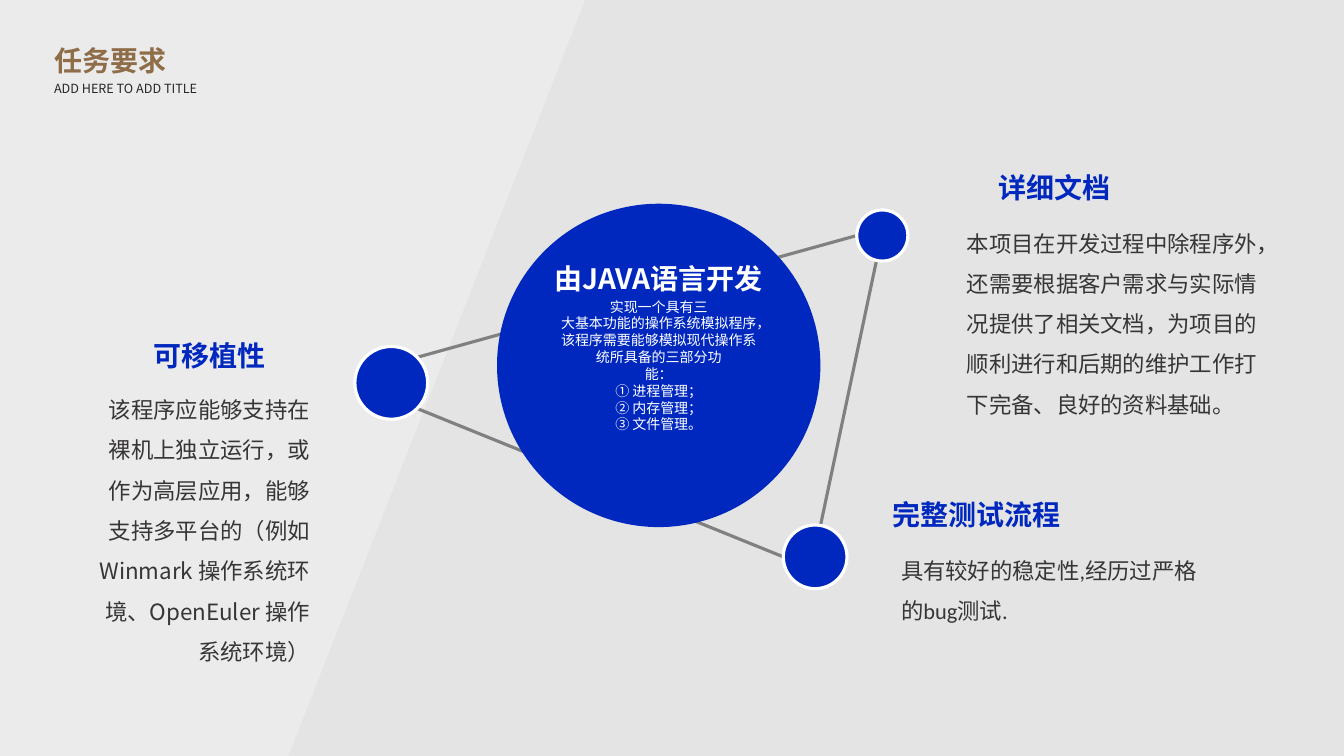
from collections import namedtuple
from dataclasses import dataclass

from lxml.etree import SubElement
from pptx import Presentation
from pptx.dml.color import RGBColor
from pptx.enum.shapes import MSO_CONNECTOR, MSO_SHAPE
from pptx.enum.text import MSO_ANCHOR, MSO_AUTO_SIZE, PP_ALIGN
from pptx.oxml.ns import qn
from pptx.util import Pt

Box = namedtuple("Box", "left top width height")


@dataclass(frozen=True)
class Theme:
    background: str = "E4E4E4"
    panel: str = "F1F1F1"
    panel_alpha: str = "54000"
    blue: str = "0028BE"
    white: str = "FFFFFF"
    link: str = "808080"
    brown: str = "8E6D48"
    body: str = "373535"
    caption: str = "262626"
    font: str = "Noto Sans CJK SC"
    latin_font: str = "Calibri"
    heading_size: int = 20
    body_size: int = 16
    core_size: int = 10
    caption_size: int = 9
    line_width: float = 2.25


THEME = Theme()


def rgb(color):
    return RGBColor.from_string(color)


def in_points(*lengths):
    return [Pt(length) for length in lengths]


def write(frame, lines, size, color, font=THEME.font, bold=False, align=PP_ALIGN.LEFT, spacing=None):
    frame.word_wrap = True
    frame.text = "\n".join(lines)
    for paragraph in frame.paragraphs:
        paragraph.alignment = align
        if spacing:
            paragraph.line_spacing = spacing
        for run in paragraph.runs:
            run.font.size = Pt(size)
            run.font.bold = bold
            run.font.name = font
            run.font.color.rgb = rgb(color)
            SubElement(run.font._element, qn("a:ea")).set("typeface", THEME.font)


def add_label(slide, box, lines, size, color, **style):
    frame = slide.shapes.add_textbox(*in_points(*box)).text_frame
    write(frame, lines, size, color, **style)
    frame.auto_size = MSO_AUTO_SIZE.SHAPE_TO_FIT_TEXT


def add_backdrop(slide, box):
    slide.background.fill.solid()
    slide.background.fill.fore_color.rgb = rgb(THEME.background)
    right, bottom = box.left + box.width, box.top + box.height
    outline = slide.shapes.build_freeform(*in_points(box.left, box.top))
    corners = [(right, box.top), (right - 212, bottom), (box.left, bottom)]
    outline.add_line_segments([in_points(*corner) for corner in corners], close=True)
    panel = outline.convert_to_shape()
    panel.shadow.inherit = False
    panel.line.fill.background()
    panel.fill.solid()
    panel.fill.fore_color.rgb = rgb(THEME.panel)
    tint = panel.fill._xPr.find(qn("a:solidFill"))[0]
    SubElement(tint, qn("a:alpha")).set("val", THEME.panel_alpha)


def add_link(slide, start, end):
    link = slide.shapes.add_connector(MSO_CONNECTOR.STRAIGHT, *in_points(*start, *end))
    link.line.color.rgb = rgb(THEME.link)
    link.line.width = Pt(THEME.line_width)
    SubElement(link._element.spPr, qn("a:effectLst"))


def add_disc(slide, box, rim=True):
    disc = slide.shapes.add_shape(MSO_SHAPE.OVAL, *in_points(*box))
    disc.shadow.inherit = False
    disc.fill.solid()
    disc.fill.fore_color.rgb = rgb(THEME.blue)
    if rim:
        disc.line.color.rgb = rgb(THEME.white)
        disc.line.width = Pt(THEME.line_width)
    else:
        disc.line.fill.background()
    return disc


def point_on(box, across, down):
    return box.left + box.width * across, box.top + box.height * down


def add_hub(slide, box, title, lines):
    left, top = box.left, box.top
    portability = Box(left, top + 102, 52, 52)
    documents = Box(left + 358.5, top + 4.5, 36.5, 36.5)
    testing = Box(left + 306, top + 229.5, 45.5, 45.5)
    core = Box(left + 101.5, top, 231, 231)

    add_link(slide, point_on(portability, 0.85, 0.85), point_on(testing, 0, 0.5))
    add_link(slide, point_on(documents, 0.4, 0.92), point_on(testing, 0.58, 0.03))
    add_link(slide, point_on(portability, 0.85, 0.15), point_on(documents, 0, 0.5))

    frame = add_disc(slide, core, rim=False).text_frame
    frame.vertical_anchor = MSO_ANCHOR.MIDDLE
    write(frame, lines, THEME.core_size, THEME.white,
          font=THEME.latin_font, align=PP_ALIGN.CENTER)
    for node in (portability, documents, testing):
        add_disc(slide, node)
    add_label(slide, Box(core.left + 24, core.top + 38, 183, 31.5), [title],
              THEME.heading_size, THEME.white, bold=True, align=PP_ALIGN.CENTER)


def add_requirement(slide, box, heading, lines, indent, drop=33, **style):
    add_label(slide, Box(box.left + indent, box.top, 142, 31.5), [heading],
              THEME.heading_size, THEME.blue, bold=True, align=PP_ALIGN.CENTER)
    add_label(slide, Box(box.left, box.top + drop, box.width, box.height - drop), lines,
              THEME.body_size, THEME.body, spacing=1.5, **style)


def add_title(slide, box, title, caption):
    add_label(slide, Box(box.left, box.top, box.width, 31.5), [title],
              THEME.heading_size, THEME.brown, bold=True)
    add_label(slide, Box(box.left, box.top + 26.5, box.width, 18), [caption],
              THEME.caption_size, THEME.caption)


def main():
    deck = Presentation()
    deck.slide_width, deck.slide_height = in_points(960, 540)
    slide = deck.slides.add_slide(deck.slide_layouts[6])

    add_backdrop(slide, Box(0, 0, 418, 540))
    add_hub(slide, Box(253.5, 145.5, 395, 275), "由JAVA语言开发", [
        "实现一个具有三",
        "大基本功能的操作系统模拟程序，该程序需要能够模拟现代操作系统所具备的三部分功",
        "能：",
        "① 进程管理；",
        "② 内存管理；",
        "③ 文件管理。",
    ])
    add_requirement(slide, Box(63.5, 238.5, 165, 242.5), "可移植性", [
        "该程序应能够支持在裸机上独立运行，或作为高层应用，能够支持多平台的（例如",
        "Winmark 操作系统环境、OpenEuler 操作系统环境）",
    ], indent=15, drop=31.5, align=PP_ALIGN.RIGHT)
    add_requirement(slide, Box(683.5, 118, 237, 186), "详细文档", [
        "本项目在开发过程中除程序外，还需要根据客户需求与实际情况提供了相关文档，为项目的",
        "顺利进行和后期的维护工作打下完备、良好的资料基础。",
    ], indent=-1)
    add_requirement(slide, Box(636.5, 351.5, 237, 98.5), "完整测试流程", [
        "具有较好的稳定性,经历过严格的bug测试.",
    ], indent=-10, font=THEME.latin_font)
    add_title(slide, Box(31.5, 27.5, 145, 44.5), "任务要求", "ADD HERE TO ADD TITLE")

    deck.save("out.pptx")


if __name__ == "__main__":
    main()
